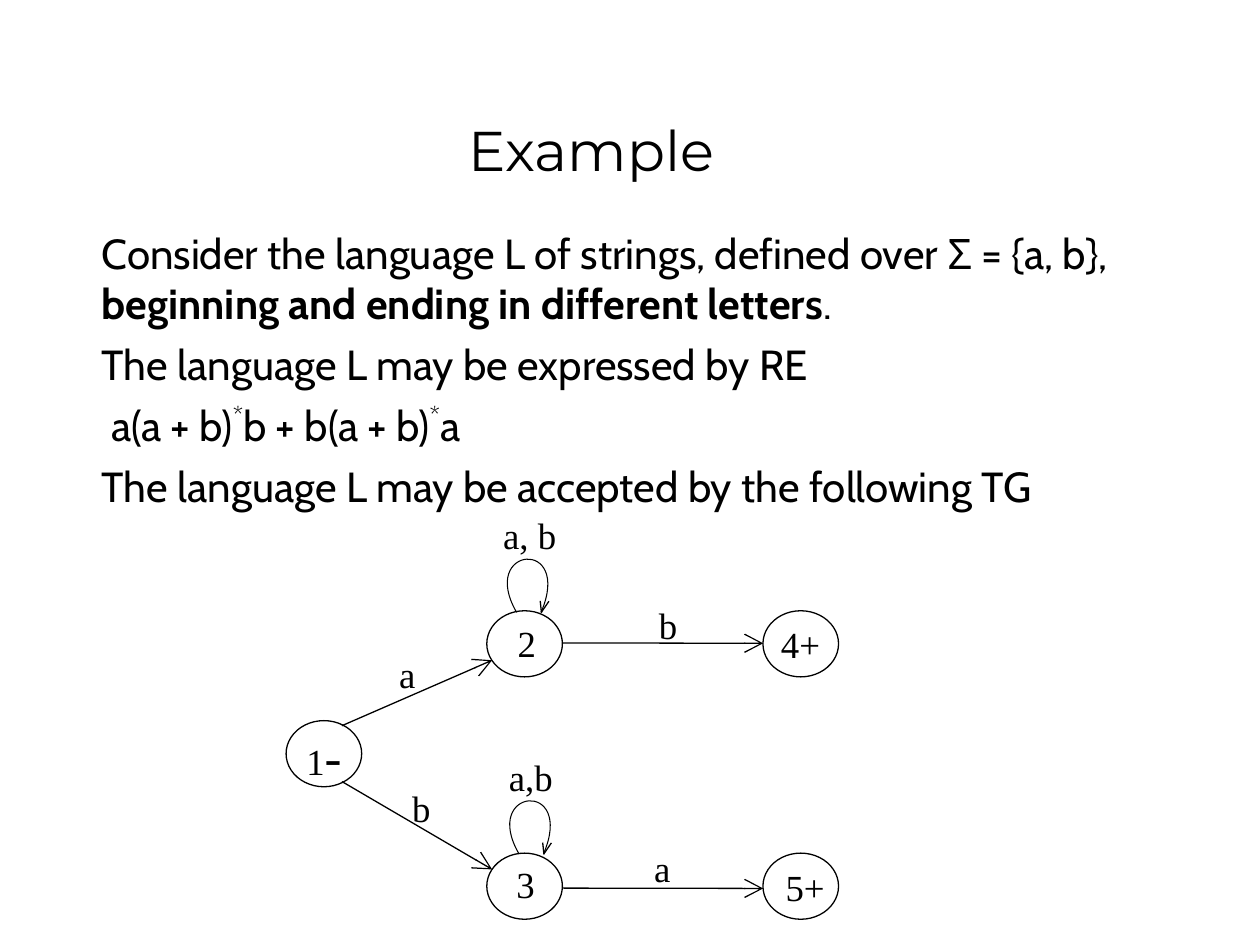
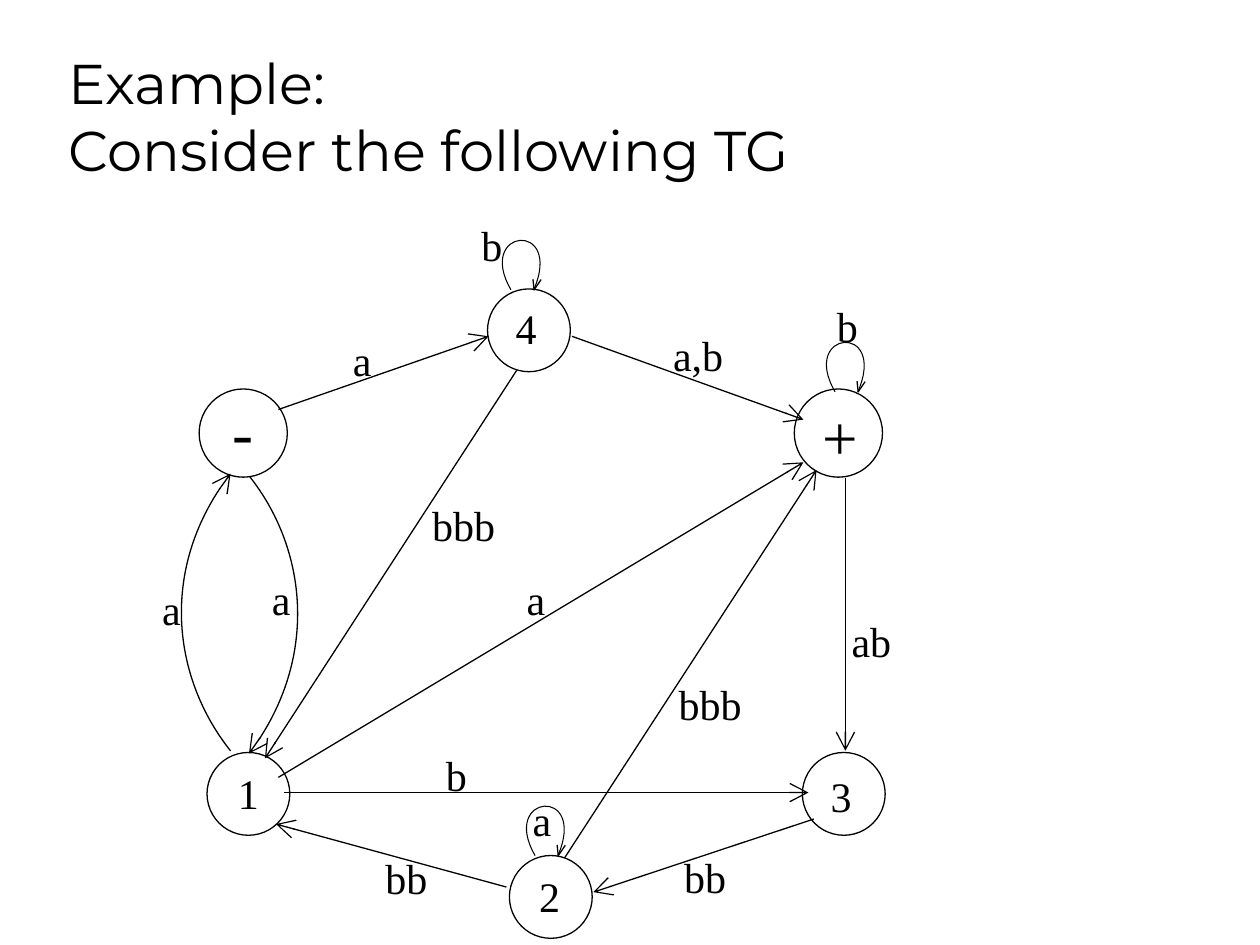
from lxml import etree
from pptx import Presentation
from pptx.dml.color import RGBColor
from pptx.enum.shapes import MSO_CONNECTOR, MSO_SHAPE
from pptx.enum.text import MSO_ANCHOR, PP_ALIGN
from pptx.oxml.ns import qn
from pptx.util import Pt

BLACK = RGBColor(0, 0, 0)
WHITE = RGBColor(255, 255, 255)
STRAIGHT = MSO_CONNECTOR.STRAIGHT
OVAL = MSO_SHAPE.OVAL
BOTTOM, TOP = MSO_ANCHOR.BOTTOM, MSO_ANCHOR.TOP
LEFT, CENTER = PP_ALIGN.LEFT, PP_ALIGN.CENTER
TITLE_FONT, BODY_FONT, LABEL_FONT = "Montserrat", "Cabin", "Times New Roman"
TITLE_BOX = (32, 18, 612, 90)
BODY_BOX = (23.8, 126.2, 643.7, 174.2)
LINE_WIDTH, LOOP_WIDTH = 0.75, 0.6
ARROW = {"type": "arrow", "w": "lg", "len": "lg"}
LOOP_PARTS = [
    ([(0, 0), (-22, -38), (32.4, -43), (14, 0)], LOOP_WIDTH),
    ([(14.2, 0), (18.5, -6.3)], LINE_WIDTH),
    ([(13.5, -6.5), (14.2, 0.3)], LINE_WIDTH),
]


def add_text(slide, box, paragraphs, font, anchor=TOP, align=LEFT, indent=7.2, before=0):
    frame = slide.shapes.add_textbox(*[Pt(v) for v in box]).text_frame
    frame.word_wrap = True
    frame.vertical_anchor = anchor
    frame.margin_left = Pt(indent)
    for index, runs in enumerate(paragraphs):
        paragraph = frame.paragraphs[0] if index == 0 else frame.add_paragraph()
        paragraph.alignment = align
        paragraph.space_before = Pt(before)
        for text, size, style in runs:
            if text == "\n":
                paragraph.add_line_break()
                continue
            run = paragraph.add_run()
            run.text = text
            run.font.name = font
            run.font.size = Pt(size)
            run.font.color.rgb = BLACK
            run.font.bold = style == "bold"
            if style == "raised":
                run._r.get_or_add_rPr().set("baseline", "40000")


def add_outline(slide, points, width, arrow=False):
    points = [(Pt(x), Pt(y)) for x, y in points]
    builder = slide.shapes.build_freeform(*points[0])
    builder.add_line_segments(points[1:], close=False)
    outline = builder.convert_to_shape()
    outline.shadow.inherit = False
    outline.fill.background()
    outline.line.color.rgb = BLACK
    outline.line.width = Pt(width)
    if arrow:
        etree.SubElement(outline.line._get_or_add_ln(), qn("a:tailEnd"), ARROW)
    segments = list(outline._element.iter(qn("a:lnTo")))
    if len(segments) == 3:
        bezier = etree.SubElement(segments[0].getparent(), qn("a:cubicBezTo"))
        for segment in segments:
            bezier.append(segment[0])
            segment.getparent().remove(segment)


different_ends = {
    "title": [("Example", 32, "")],
    "title_align": CENTER,
    "body": [
        [
            ("Consider the language L of strings, defined over Σ = {a, b}, ", 24, ""),
            ("beginning and ending in different letters", 24, "bold"),
            (".", 24, ""),
        ],
        [("The language L may be expressed by RE", 24, "")],
        [
            (" a(a + b)", 24, ""),
            ("*", 24, "raised"),
            ("b + b(a + b)", 24, ""),
            ("*", 24, "raised"),
            ("a", 24, ""),
        ],
        [("The language L may be accepted by the following TG", 24, "")],
    ],
    "states": [
        (x, y, 43.2, 37.8)
        for x, y in [(163.5, 411.8), (278.2, 349), (278.2, 487.5), (436, 349), (436, 487.5)]
    ],
    "edges": [
        (195.4, 414.7, 281.2, 377.3),
        (321.4, 367.4, 436.1, 367.6),
        (195.4, 446.6, 281.2, 496.8),
        (321.4, 507.5, 436.1, 507.7),
    ],
    "arcs": [],
    "loops": [(295.2, 349.9), (296.6, 488)],
    "loop_scale": 1,
    "label_size": (50.4, 38.2),
    "labels": [
        (168, 410.4, [("1", 21, ""), ("-", 29, "")])
    ] + [
        (x, y, [(text, 21, "")])
        for x, y, text in [
            (288.7, 351.4, "2"),
            (288, 488.9, "3"),
            (439.2, 351.7, "4+"),
            (441.8, 490.6, "5+"),
            (221, 369.1, "a"),
            (228.5, 445.7, "b"),
            (369.4, 340.9, "b"),
            (366.7, 479.5, "a"),
            (280.5, 289.4, "a, b"),
            (283.7, 427.7, "a,b"),
        ]
    ],
}

following_graph = {
    "title": [("Example:", 32, ""), ("\n", 32, ""), ("Consider the following TG", 32, "")],
    "title_align": LEFT,
    "body": [],
    "states": [
        (x, y, size, size)
        for x, y, size in [
            (113.8, 222.3, 50.4),
            (453.9, 222.3, 50.4),
            (118.3, 430, 47.3),
            (291.1, 488.9, 47.3),
            (458.5, 430, 47.3),
            (278.6, 165.1, 47.3),
        ]
    ],
    "edges": [
        (159.1, 234, 279.2, 192.2),
        (326.9, 192.2, 459.1, 239.8),
        (162.2, 452.9, 462, 452.9),
        (465.1, 468, 339.1, 509.8),
        (289.4, 506.9, 157.7, 470.9),
        (159.1, 444.2, 459.1, 264.2),
        (483.1, 272.9, 483.1, 429),
        (295.2, 211.7, 151.4, 433.4),
        (322.6, 490.3, 466.6, 268.6),
    ],
    "arcs": [
        [(131.8, 429.1), (99.2, 388.1), (91.2, 322.6), (131.8, 270.7)],
        [(142.6, 272.2), (174.5, 312.5), (182.5, 378), (142.3, 430.6)],
    ],
    "loops": [(477.2, 223.9), (292, 165.6), (305.8, 488.9)],
    "loop_scale": 0.93,
    "label_size": (78.5, 37.4),
    "labels": [
        (125.5, 220.5, [("-", 36, "")]),
        (463, 223.4, [("+", 36, "")]),
    ] + [
        (x, y, [(text, 24, "")])
        for x, y, text in [
            (128.9, 435.2, "1"),
            (301, 494, "2"),
            (467.5, 436.6, "3"),
            (287.5, 169.5, "4"),
            (247.7, 424.8, "b"),
            (213.1, 483.4, "bb"),
            (380.7, 384, "bbb"),
            (479.5, 348.1, "ab"),
            (383.8, 483.1, "bb"),
            (471.1, 168.1, "b"),
            (268, 121.7, "b"),
            (194.5, 187.5, "a"),
            (377.5, 184.6, "a,b"),
            (239.8, 282, "bbb"),
            (85.5, 329.8, "a"),
            (148.3, 324, "a"),
            (293.8, 324, "a"),
            (297.2, 450.3, "a"),
        ]
    ],
}

deck = Presentation()
deck.slide_width, deck.slide_height = Pt(720), Pt(540)

for graph in (different_ends, following_graph):
    slide = deck.slides.add_slide(deck.slide_layouts[6])
    add_text(slide, TITLE_BOX, [graph["title"]], TITLE_FONT, BOTTOM, graph["title_align"])
    if graph["body"]:
        add_text(slide, BODY_BOX, graph["body"], BODY_FONT, indent=34.4, before=6)

    for box in graph["states"]:
        state = slide.shapes.add_shape(OVAL, *[Pt(v) for v in box])
        state.shadow.inherit = False
        state.fill.solid()
        state.fill.fore_color.rgb = WHITE
        state.line.color.rgb = BLACK
        state.line.width = Pt(LINE_WIDTH)

    for ends in graph["edges"]:
        edge = slide.shapes.add_connector(STRAIGHT, *[Pt(v) for v in ends])
        edge.line.color.rgb = BLACK
        edge.line.width = Pt(LINE_WIDTH)
        etree.SubElement(edge.line._get_or_add_ln(), qn("a:tailEnd"), ARROW)
        etree.SubElement(edge._element.spPr, qn("a:effectLst"))

    for arc in graph["arcs"]:
        add_outline(slide, arc, LINE_WIDTH, arrow=True)

    scale = graph["loop_scale"]
    for x, y in graph["loops"]:
        for offsets, width in LOOP_PARTS:
            add_outline(slide, [(x + scale * dx, y + scale * dy) for dx, dy in offsets], width)

    for x, y, runs in graph["labels"]:
        add_text(slide, (x, y, *graph["label_size"]), [runs], LABEL_FONT)

deck.save("out.pptx")
